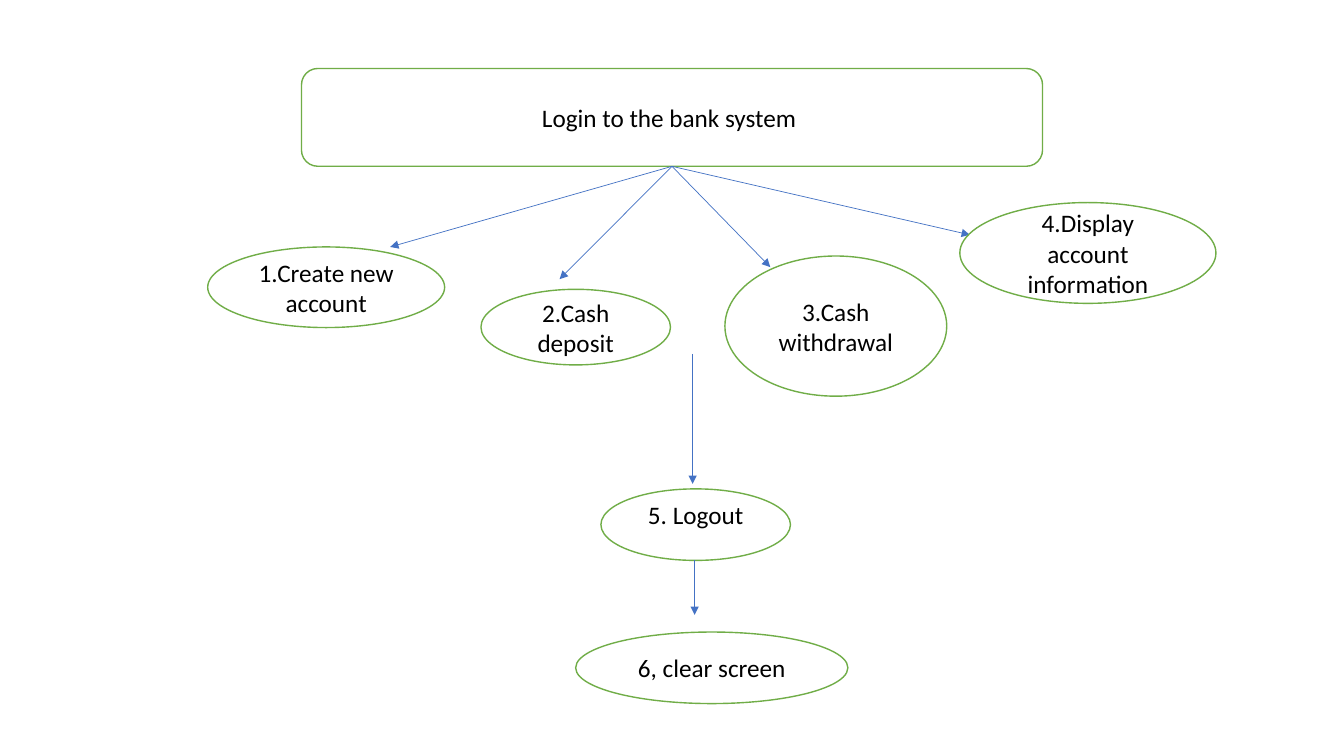
from lxml import etree
from pptx import Presentation
from pptx.dml.color import RGBColor
from pptx.enum.shapes import MSO_CONNECTOR, MSO_SHAPE
from pptx.enum.text import MSO_ANCHOR, PP_ALIGN
from pptx.oxml.ns import qn
from pptx.util import Inches, Pt

ROUNDED = MSO_SHAPE.ROUNDED_RECTANGLE
OVAL = MSO_SHAPE.OVAL
STRAIGHT = MSO_CONNECTOR.STRAIGHT
MIDDLE, TOP = MSO_ANCHOR.MIDDLE, MSO_ANCHOR.TOP
CENTER = PP_ALIGN.CENTER
BOTTOM_SIDE = 2

WHITE, BLACK, GREEN, BLUE = "FFFFFF", "000000", "70AD47", "4472C4"

MENU_ARROW_TIPS = [(7.64, 2.65), (5.55, 2.77), (3.87, 2.45), (9.62, 2.33)]
MENU_OPTIONS = [
    ("1.Create new account", (2.06, 2.45, 2.35, 0.8)),
    ("2.Cash deposit", (4.77, 2.87, 1.88, 0.75)),
    ("4.Display account information", (9.52, 2.01, 2.54, 1)),
    ("3.Cash withdrawal", (7.19, 2.54, 2.2, 1.39)),
]


def color(hex_code):
    """Turn a hex string into a colour."""
    return RGBColor.from_string(hex_code)


def add_node(page, kind, text, place, anchor=MIDDLE):
    """Add a white, green-edged shape with centred text."""
    node = page.shapes.add_shape(kind, *map(Inches, place))
    node.shadow.inherit = False
    node.fill.solid()
    node.fill.fore_color.rgb = color(WHITE)
    node.line.color.rgb = color(GREEN)
    node.line.width = Pt(1)
    frame = node.text_frame
    frame.word_wrap = True
    frame.vertical_anchor = anchor
    if anchor == TOP:
        frame.margin_top = 0
    para = frame.paragraphs[0]
    para.alignment = CENTER
    span = para.add_run()
    span.text = text
    span.font.name = "Calibri"
    span.font.size = Pt(18)
    span.font.color.rgb = color(BLACK)
    return node


def add_arrow(page, start, tip, source=None):
    """Add a thin blue arrow, joined to the bottom of its source if given."""
    arrow = page.shapes.add_connector(STRAIGHT, *map(Inches, start + tip))
    if source is not None:
        arrow.begin_connect(source, BOTTOM_SIDE)
    arrow.line.color.rgb = color(BLUE)
    arrow.line.width = Pt(0.5)
    outline = arrow.line._get_or_add_ln()
    etree.SubElement(outline, qn("a:tailEnd"), type="triangle")
    etree.SubElement(arrow._element.spPr, qn("a:effectLst"))


def main():
    """Build the bank menu flowchart."""
    deck = Presentation()
    deck.slide_width, deck.slide_height = Inches(13.33), Inches(7.5)
    page = deck.slides.add_slide(deck.slide_layouts[6])

    login = add_node(page, ROUNDED, "Login to the bank system ",
                     (2.99, 0.68, 7.35, 0.97))
    for tip in MENU_ARROW_TIPS:
        add_arrow(page, (6.66, 1.65), tip, login)
    for text, place in MENU_OPTIONS:
        add_node(page, OVAL, text, place)

    add_arrow(page, (6.87, 3.51), (6.87, 4.8))
    add_node(page, OVAL, "5. Logout", (5.96, 4.85, 1.88, 0.71), TOP)
    add_arrow(page, (6.89, 5.56), (6.89, 6.1))
    add_node(page, OVAL, "6, clear screen", (5.71, 6.27, 2.7, 0.71))
    deck.save("out.pptx")


if __name__ == "__main__":
    main()
